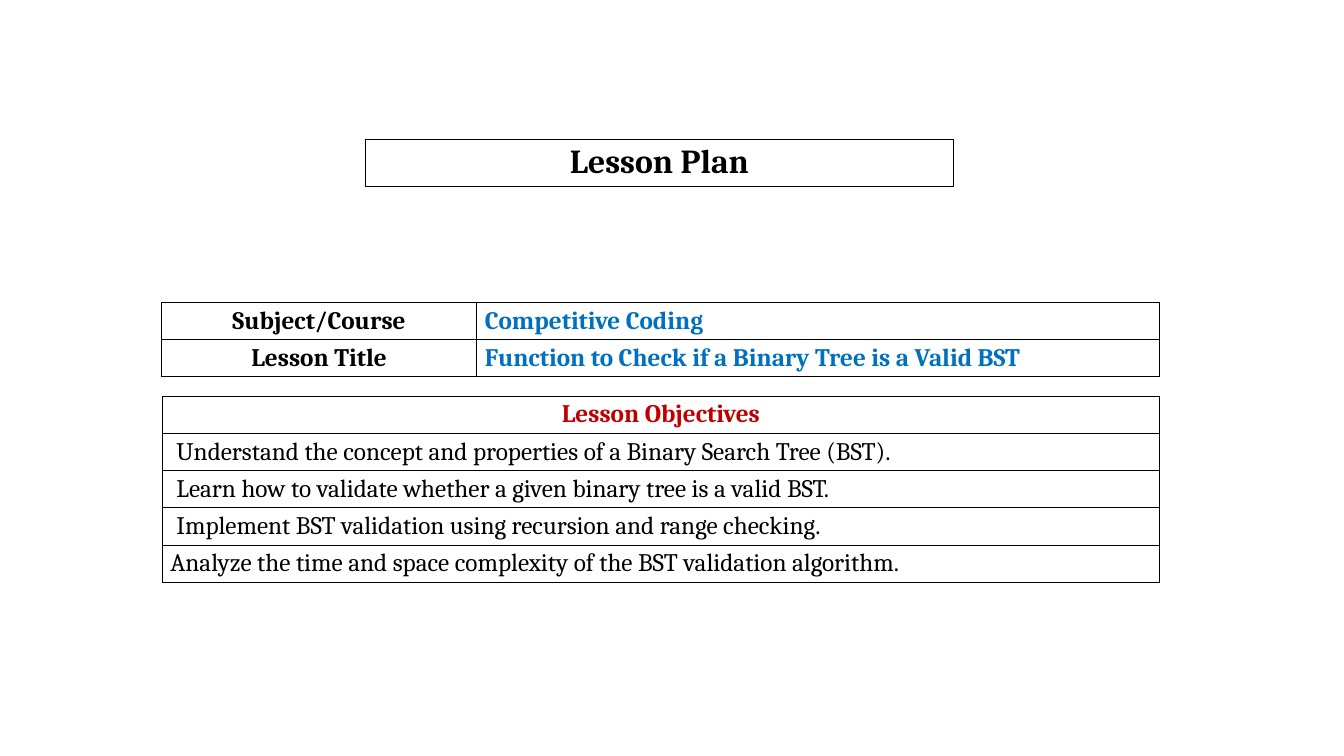
from lxml import etree
from pptx import Presentation
from pptx.dml.color import RGBColor
from pptx.enum import text
from pptx.oxml import ns
from pptx.util import Inches, Pt

FONT = "Cambria"
BLACK, WHITE, BLUE, RED = "000000", "FFFFFF", "0070C0", "C00000"
BORDER_WIDTH = 0.77
ROW_HEIGHT = 0.37
CELL_MARGIN = 0.08


def color(value):
    return RGBColor.from_string(value)


def add_borders(cell):
    properties = cell._tc.get_or_add_tcPr()
    for side in ("a:lnL", "a:lnR", "a:lnT", "a:lnB"):
        line = etree.SubElement(properties, ns.qn(side), w=str(Pt(BORDER_WIDTH)))
        fill = etree.SubElement(line, ns.qn("a:solidFill"))
        etree.SubElement(fill, ns.qn("a:srgbClr"), val=BLACK)


def add_grid(slide, left, top, widths, row_count, row_height=ROW_HEIGHT):
    frame = slide.shapes.add_table(
        row_count, len(widths), Inches(left), Inches(top),
        Inches(sum(widths)), Inches(row_height * row_count))
    table = frame.table
    table.first_row = table.horz_banding = False
    for column, width in zip(table.columns, widths):
        column.width = Inches(width)
    for row in table.rows:
        row.height = Inches(row_height)
    return table


def fill_cell(cell, content, font_color=BLACK, size=18, bold=True,
              centered=False, indent=0):
    add_borders(cell)
    cell.fill.solid()
    cell.fill.fore_color.rgb = color(WHITE)
    cell.vertical_anchor = text.MSO_ANCHOR.MIDDLE
    cell.margin_left = Inches(CELL_MARGIN + indent)
    cell.margin_right = Inches(CELL_MARGIN)
    cell.margin_top = cell.margin_bottom = Inches(0.04)
    paragraph = cell.text_frame.paragraphs[0]
    paragraph.text = content
    paragraph.alignment = text.PP_ALIGN.CENTER if centered else text.PP_ALIGN.LEFT
    font = paragraph.runs[0].font
    font.name = FONT
    font.size = Pt(size)
    font.bold = bold
    font.color.rgb = color(font_color)


def add_heading(slide, left, top, width):
    table = add_grid(slide, left, top, [width], 1, 0.47)
    fill_cell(table.cell(0, 0), "Lesson Plan", size=24, centered=True)


def add_course_details(slide, left, top, widths):
    details = [
        ("Subject/Course", "Competitive Coding"),
        ("Lesson Title", "Function to Check if a Binary Tree is a Valid BST"),
    ]
    table = add_grid(slide, left, top, widths, len(details))
    for row, (label, value) in enumerate(details):
        fill_cell(table.cell(row, 0), label, centered=True)
        fill_cell(table.cell(row, 1), value, BLUE)


def add_objectives(slide, left, top, width):
    objectives = [
        ("Understand the concept and properties of a Binary Search Tree (BST).", 0.06),
        ("Learn how to validate whether a given binary tree is a valid BST.", 0.06),
        ("Implement BST validation using recursion and range checking.", 0.06),
        ("Analyze the time and space complexity of the BST validation algorithm.", 0),
    ]
    table = add_grid(slide, left, top, [width], len(objectives) + 1)
    fill_cell(table.cell(0, 0), "Lesson Objectives", RED, centered=True)
    for row, (objective, indent) in enumerate(objectives, start=1):
        fill_cell(table.cell(row, 0), objective, bold=False, indent=indent)


def main():
    presentation = Presentation()
    presentation.slide_width = Inches(13.33)
    presentation.slide_height = Inches(7.5)
    slide = presentation.slides.add_slide(presentation.slide_layouts[6])
    add_heading(slide, 3.62, 1.38, 5.84)
    add_course_details(slide, 1.6, 3, [3.13, 6.77])
    add_objectives(slide, 1.61, 3.93, 9.89)
    presentation.save("out.pptx")


if __name__ == "__main__":
    main()
